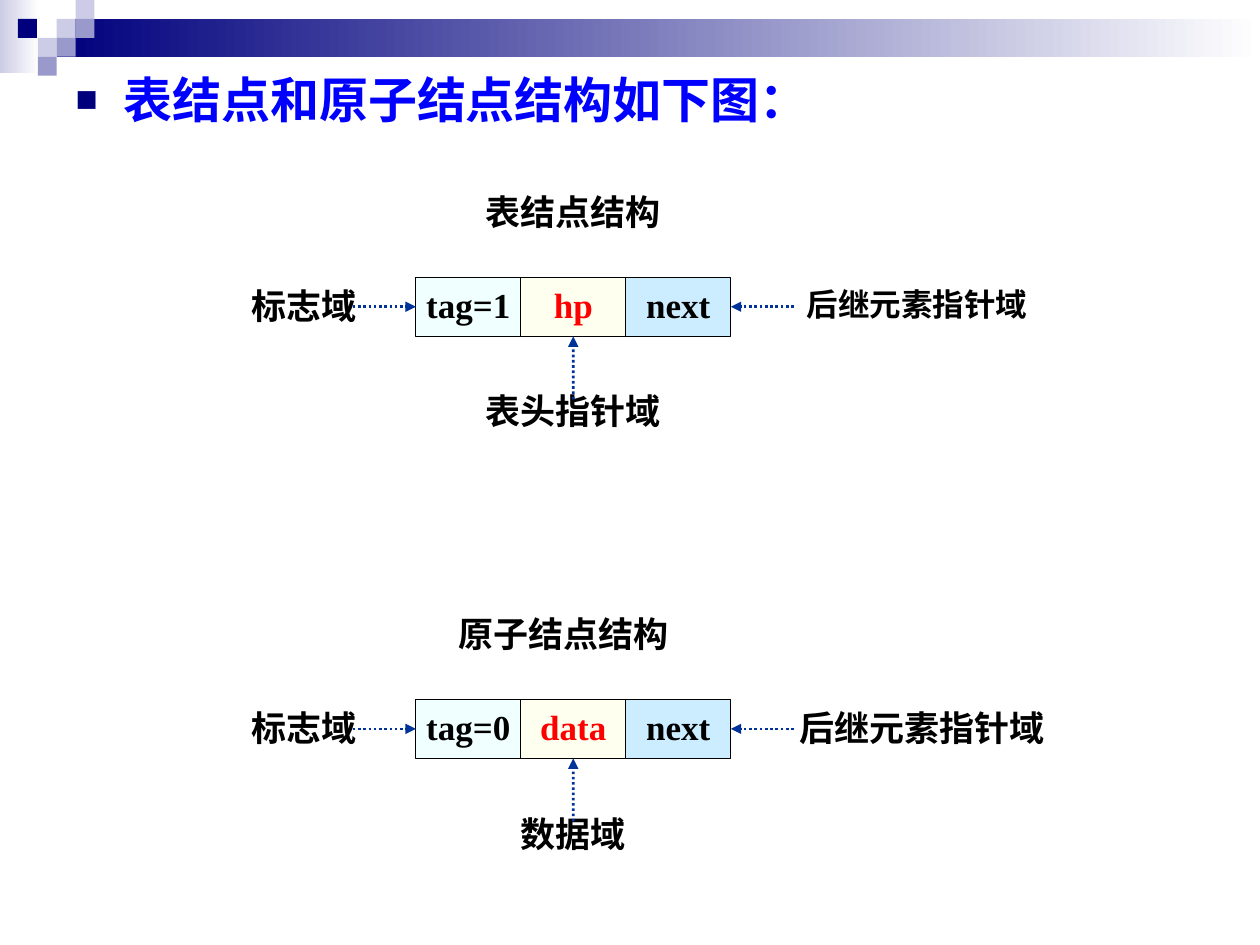
from dataclasses import dataclass

from lxml import etree
from pptx import Presentation
from pptx import util as u
from pptx.dml.color import RGBColor
from pptx.enum import dml, shapes, text
from pptx.oxml import ns


@dataclass(frozen=True)
class Theme:
    navy: str = "00007D"
    lilac: str = "CCCCE6"
    violet: str = "9999CC"
    white: str = "FFFFFF"
    black: str = "000000"
    heading: str = "0000FF"
    accent: str = "FF0000"
    arrow: str = "003399"
    cells: tuple = ("F0FFFF", "FFFFF0", "CCECFF")
    heading_size: int = 28
    label_size: int = 20
    small_size: int = 18
    heading_font: str = "Arial"
    body_font: str = "Times New Roman"


@dataclass(frozen=True)
class Label:
    words: str
    left: float
    rise: float  # offset from the top of the row of cells
    width: float
    height: float = 0.4
    size: int = 20
    font: str = "Times New Roman"


@dataclass(frozen=True)
class Node:
    top: float
    fields: tuple
    labels: tuple


THEME = Theme()
SQUARE = 0.15
CELL_LEFT, CELL_WIDTH, CELL_HEIGHT = 3.3, 2.5 / 3, 0.47
ARROW_LENGTH = 0.5

# column, row, colour
SQUARES = (
    (3, 1, THEME.lilac), (4, 0, THEME.lilac), (4, 1, THEME.violet),
    (2, 2, THEME.lilac), (0.95, 1, THEME.navy), (3, 2, THEME.violet),
    (2, 3, THEME.violet),
)

TAG_LABEL = Label("标志域", 1.58, 0.05, 1.67)
NODES = (
    Node(2.2, ("tag=1", "hp", "next"), (
        Label("表结点结构", 3.7, -0.7, 1.69),
        TAG_LABEL,
        Label("后继元素指针域", 6.23, 0.05, 2.1, 0.36, THEME.small_size, THEME.heading_font),
        Label("表头指针域", 3.7, 0.88, 1.69),
    )),
    Node(5.55, ("tag=0", "data", "next"), (
        Label("原子结点结构", 3.53, -0.7, 1.89),
        TAG_LABEL,
        Label("后继元素指针域", 6.23, 0.05, 2.18),
        Label("数据域", 3.7, 0.89, 1.69),
    )),
)


def color(value: str) -> RGBColor:
    return RGBColor.from_string(value)


def inches(*lengths: float) -> list:
    return [u.Inches(length) for length in lengths]


def set_all(target, values: dict) -> None:
    for name, value in values.items():
        setattr(target, name, value)


def write(frame, words: str, ink: str, size: int, font: str, **paragraph_format):
    paragraph = frame.paragraphs[0]
    paragraph.text = words
    set_all(paragraph, paragraph_format)
    run_font = paragraph.runs[0].font
    set_all(run_font, {"name": font, "size": u.Pt(size), "bold": True})
    run_font.color.rgb = color(ink)


def format_frame(frame, wrap: bool, anchor) -> None:
    set_all(frame, {
        "margin_left": u.Inches(0.1), "margin_right": u.Inches(0.1),
        "margin_top": u.Inches(0.01), "margin_bottom": u.Inches(0.05),
        "word_wrap": wrap, "vertical_anchor": anchor,
    })


def add_rectangle(slide, left: float, top: float, width: float, height: float,
                  *fills: str, outline: str = ""):
    """Draw a rectangle; two fills make a gradient from left to right."""
    shape = slide.shapes.add_shape(
        shapes.MSO_SHAPE.RECTANGLE, *inches(left, top, width, height))
    shape.shadow.inherit = False
    if len(fills) == 1:
        shape.fill.solid()
        shape.fill.fore_color.rgb = color(fills[0])
    else:
        shape.fill.gradient()
        shape.fill.gradient_angle = 0
        for stop, value in zip(shape.fill.gradient_stops, fills):
            stop.color.rgb = color(value)
    if outline:
        shape.line.color.rgb = color(outline)
        shape.line.width = u.Pt(0.75)
    else:
        shape.line.fill.background()
    return shape


def add_banner(slide) -> None:
    add_rectangle(slide, 0, 0, 0.31, 0.58, THEME.lilac, THEME.white)
    add_rectangle(slide, 3 * SQUARE, SQUARE, 10 - 3 * SQUARE, 2 * SQUARE,
                  THEME.navy, THEME.white)
    for column, row, fill in SQUARES:
        add_rectangle(slide, column * SQUARE, row * SQUARE, SQUARE, SQUARE, fill)


def add_heading(slide, words: str) -> None:
    title = slide.shapes.title
    title.element.getparent().remove(title.element)
    body = slide.placeholders[1]
    set_all(body, dict(zip(("left", "top", "width", "height"), inches(0.5, 0.5, 9, 7))))
    properties = body.text_frame.paragraphs[0]._p.get_or_add_pPr()
    properties.set("marL", str(u.Inches(0.38)))
    properties.set("indent", str(-u.Inches(0.38)))
    bullet_color = etree.SubElement(properties, ns.qn("a:buClr"))
    etree.SubElement(bullet_color, ns.qn("a:srgbClr"), val=THEME.navy)
    etree.SubElement(properties, ns.qn("a:buSzPct"), val="75000")
    etree.SubElement(properties, ns.qn("a:buFont"), typeface=THEME.heading_font)
    etree.SubElement(properties, ns.qn("a:buChar"), char="■")
    write(body.text_frame, words, THEME.heading, THEME.heading_size,
          THEME.heading_font, space_before=u.Pt(0))


def add_cell(slide, column: int, top: float, words: str):
    cell = add_rectangle(slide, CELL_LEFT + column * CELL_WIDTH, top, CELL_WIDTH,
                         CELL_HEIGHT, THEME.cells[column], outline=THEME.black)
    format_frame(cell.text_frame, False, text.MSO_ANCHOR.MIDDLE)
    write(cell.text_frame, words, THEME.accent if column == 1 else THEME.black,
          THEME.label_size, THEME.body_font, alignment=text.PP_ALIGN.CENTER)
    return cell


def add_label(slide, label: Label, row_top: float) -> None:
    box = slide.shapes.add_textbox(
        *inches(label.left, row_top + label.rise, label.width, label.height))
    format_frame(box.text_frame, True, text.MSO_ANCHOR.TOP)
    write(box.text_frame, label.words, THEME.black, label.size, label.font,
          alignment=text.PP_ALIGN.CENTER)


def add_arrow(slide, cell, side: int, start_x: float, start_y: float) -> None:
    """Draw a dotted arrow from a point to the middle of a cell's side."""
    start = inches(start_x, start_y)
    arrow = slide.shapes.add_connector(shapes.MSO_CONNECTOR.STRAIGHT, *start, *start)
    arrow.end_connect(cell, side)
    arrow.line.color.rgb = color(THEME.arrow)
    set_all(arrow.line, {"width": u.Pt(1.5), "dash_style": dml.MSO_LINE.ROUND_DOT})
    etree.SubElement(arrow.line._get_or_add_ln(), ns.qn("a:tailEnd"), type="triangle")
    etree.SubElement(arrow.element.spPr, ns.qn("a:effectLst"))


def add_node(slide, node: Node) -> None:
    cells = [add_cell(slide, column, node.top, words)
             for column, words in enumerate(node.fields)]
    for label in node.labels:
        add_label(slide, label, node.top)
    middle = node.top + CELL_HEIGHT / 2
    right = CELL_LEFT + 3 * CELL_WIDTH
    add_arrow(slide, cells[0], 1, CELL_LEFT - ARROW_LENGTH, middle)
    add_arrow(slide, cells[2], 3, right + ARROW_LENGTH, middle)
    add_arrow(slide, cells[1], 2, CELL_LEFT + 1.5 * CELL_WIDTH,
              node.top + CELL_HEIGHT + ARROW_LENGTH)


def main() -> None:
    presentation = Presentation()
    presentation.slide_width, presentation.slide_height = inches(10, 7.5)
    slide = presentation.slides.add_slide(presentation.slide_layouts[1])
    add_banner(slide)
    add_heading(slide, "表结点和原子结点结构如下图：")
    for node in NODES:
        add_node(slide, node)
    presentation.save("out.pptx")


if __name__ == "__main__":
    main()
